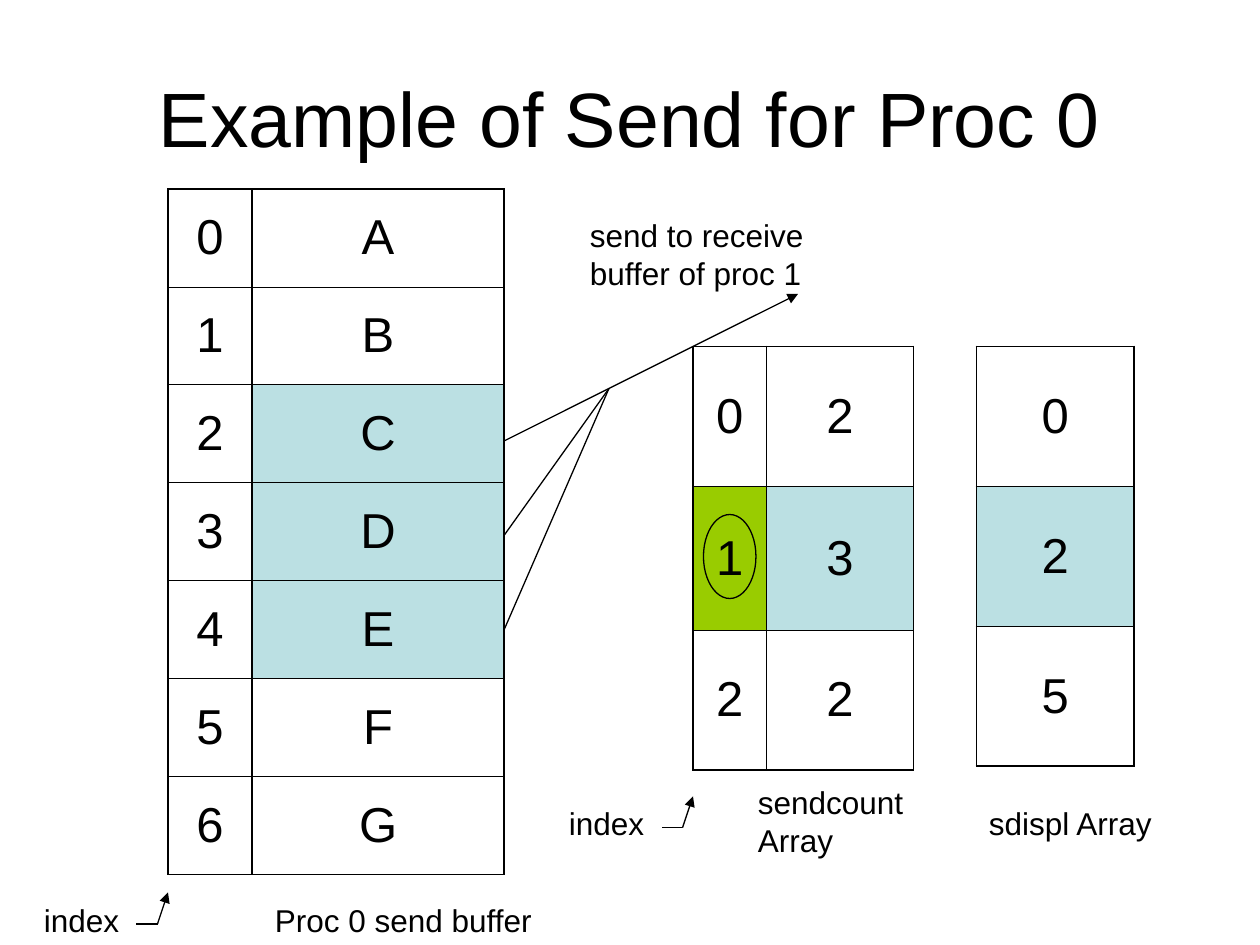
"""Build the slide showing which buffer cells process 0 sends to process 1."""
from dataclasses import dataclass, field

from lxml.etree import SubElement
from pptx import Presentation
from pptx.dml.color import RGBColor
from pptx.enum.shapes import MSO_CONNECTOR, MSO_SHAPE
from pptx.enum.text import MSO_ANCHOR, MSO_AUTO_SIZE, PP_ALIGN
from pptx.oxml.ns import qn
from pptx.slide import Slide
from pptx.table import _Cell
from pptx.text.text import _Paragraph
from pptx.util import Inches, Length, Pt

Point = tuple[float, float]


@dataclass(frozen=True)
class Theme:
    font: str = "Arial"
    ink: str = "000000"
    sent: str = "BBE0E3"
    target: str = "99CC00"
    title_size: float = 44
    cell_size: float = 28
    label_size: float = 18
    line: float = 0.75
    thick: float = 1.08
    thin: float = 0.45


@dataclass(frozen=True)
class Array:
    left: float
    top: float
    columns: list[float]
    heights: list[float]
    rows: list[str]
    fills: dict[Point, str] = field(default_factory=dict)


@dataclass(frozen=True)
class Label:
    text: str
    left: float
    top: float
    width: float
    height: float = 4.8


@dataclass(frozen=True)
class Line:
    start: Point
    end: Point
    arrow: bool = False


THEME = Theme()
GRID_COLUMNS, GRID_ROWS = 120, 90
UNIT = Inches(10) / GRID_COLUMNS
FORK = (58, 37)

ARRAYS = [
    Array(16, 18, [8, 24], [9.33] * 7,
          [f"{index}{letter}" for index, letter in enumerate("ABCDEFG")],
          {(row, 1): THEME.sent for row in (2, 3, 4)}),
    Array(66, 33, [7, 14], [13.33, 13.67, 13.33], ["02", "13", "22"],
          {(1, 0): THEME.target, (1, 1): THEME.sent}),
    Array(93, 33, [15], [13.33] * 3, ["0", "2", "5"], {(1, 0): THEME.sent}),
]
LABELS = [
    Label("Proc 0 send buffer", 25, 85.2, 36),
    Label("sendcount Array", 71, 74, 18, 8.4),
    Label("sdispl Array", 93, 76, 22),
    Label("index", 3, 85.2, 11),
    Label("index", 53, 76, 11),
    Label("send to receive buffer of proc 1", 55, 20, 23, 8.4),
]
INDEX_CORNERS = [(15, 88), (65, 78.84)]
LINES = [
    *(Line((48, row), FORK) for row in (42, 51, 60)),
    Line(FORK, (76, 28), arrow=True),
    *(Line((x, y), (x + 1, y - 3), arrow=True) for x, y in INDEX_CORNERS),
    *(Line((x, y), (x - 2, y)) for x, y in INDEX_CORNERS),
]


def grid(*units: float) -> list[Length]:
    return [Length(round(unit * UNIT)) for unit in units]


def color(value: str) -> RGBColor:
    return RGBColor.from_string(value)


def style_paragraph(para: _Paragraph, size: float, align: PP_ALIGN, before: float = 0) -> None:
    para.alignment = align
    para.space_before = Pt(before)
    para.font.name = THEME.font
    para.font.size = Pt(size)
    para.font.color.rgb = color(THEME.ink)


def add_title(slide: Slide, text: str) -> None:
    title = slide.shapes.title
    title.left, title.top, title.width, title.height = grid(6, 3.6, 108, 15)
    title.text_frame.text = text
    title.text_frame.vertical_anchor = MSO_ANCHOR.MIDDLE
    style_paragraph(title.text_frame.paragraphs[0], THEME.title_size, PP_ALIGN.CENTER)


def add_borders(cell: _Cell, first: bool, last: bool) -> None:
    widths = {
        "lnL": THEME.thick,
        "lnR": THEME.thick,
        "lnT": THEME.thick if first else THEME.thin,
        "lnB": THEME.thick if last else THEME.thin,
    }
    properties = cell._tc.get_or_add_tcPr()
    for tag, width in widths.items():
        border = SubElement(properties, qn(f"a:{tag}"), w=str(Pt(width)))
        fill = SubElement(border, qn("a:solidFill"))
        SubElement(fill, qn("a:srgbClr"), val=THEME.ink)


def add_array(slide: Slide, array: Array) -> None:
    frame = slide.shapes.add_table(
        len(array.rows), len(array.columns),
        *grid(array.left, array.top, sum(array.columns), sum(array.heights)))
    table = frame.table
    table.first_row = table.horz_banding = False
    for column, width in zip(table.columns, grid(*array.columns)):
        column.width = width
    for row, height in zip(table.rows, grid(*array.heights)):
        row.height = height
    for row, values in enumerate(array.rows):
        for column, value in enumerate(values):
            cell = table.cell(row, column)
            cell.text = value
            cell.vertical_anchor = MSO_ANCHOR.MIDDLE
            style_paragraph(cell.text_frame.paragraphs[0], THEME.cell_size, PP_ALIGN.CENTER, 7)
            add_borders(cell, row == 0, row == len(array.rows) - 1)
            if (row, column) in array.fills:
                cell.fill.solid()
                cell.fill.fore_color.rgb = color(array.fills[row, column])
            else:
                cell.fill.background()


def add_label(slide: Slide, label: Label) -> None:
    box = slide.shapes.add_textbox(*grid(label.left, label.top, label.width, label.height))
    box.text_frame.text = label.text
    box.text_frame.word_wrap = True
    box.text_frame.auto_size = MSO_AUTO_SIZE.SHAPE_TO_FIT_TEXT
    style_paragraph(box.text_frame.paragraphs[0], THEME.label_size, PP_ALIGN.LEFT, 11.2)


def add_line(slide: Slide, line: Line) -> None:
    connector = slide.shapes.add_connector(MSO_CONNECTOR.STRAIGHT, *grid(*line.start, *line.end))
    connector.line.width = Pt(THEME.line)
    connector.line.color.rgb = color(THEME.ink)
    if line.arrow:
        SubElement(connector.line._get_or_add_ln(), qn("a:tailEnd"), type="triangle")
    SubElement(connector._element.spPr, qn("a:effectLst"))


def add_ring(slide: Slide) -> None:
    ring = slide.shapes.add_shape(MSO_SHAPE.OVAL, *grid(67, 49, 5, 8))
    ring.shadow.inherit = False
    ring.fill.background()
    ring.line.width = Pt(THEME.line)
    ring.line.color.rgb = color(THEME.ink)


def main() -> None:
    deck = Presentation()
    deck.slide_width, deck.slide_height = grid(GRID_COLUMNS, GRID_ROWS)
    slide = deck.slides.add_slide(deck.slide_layouts.get_by_name("Title Only"))
    add_title(slide, "Example of Send for Proc 0")
    for array in ARRAYS:
        add_array(slide, array)
    for label in LABELS:
        add_label(slide, label)
    add_ring(slide)
    for line in LINES:
        add_line(slide, line)
    deck.save("out.pptx")


if __name__ == "__main__":
    main()
